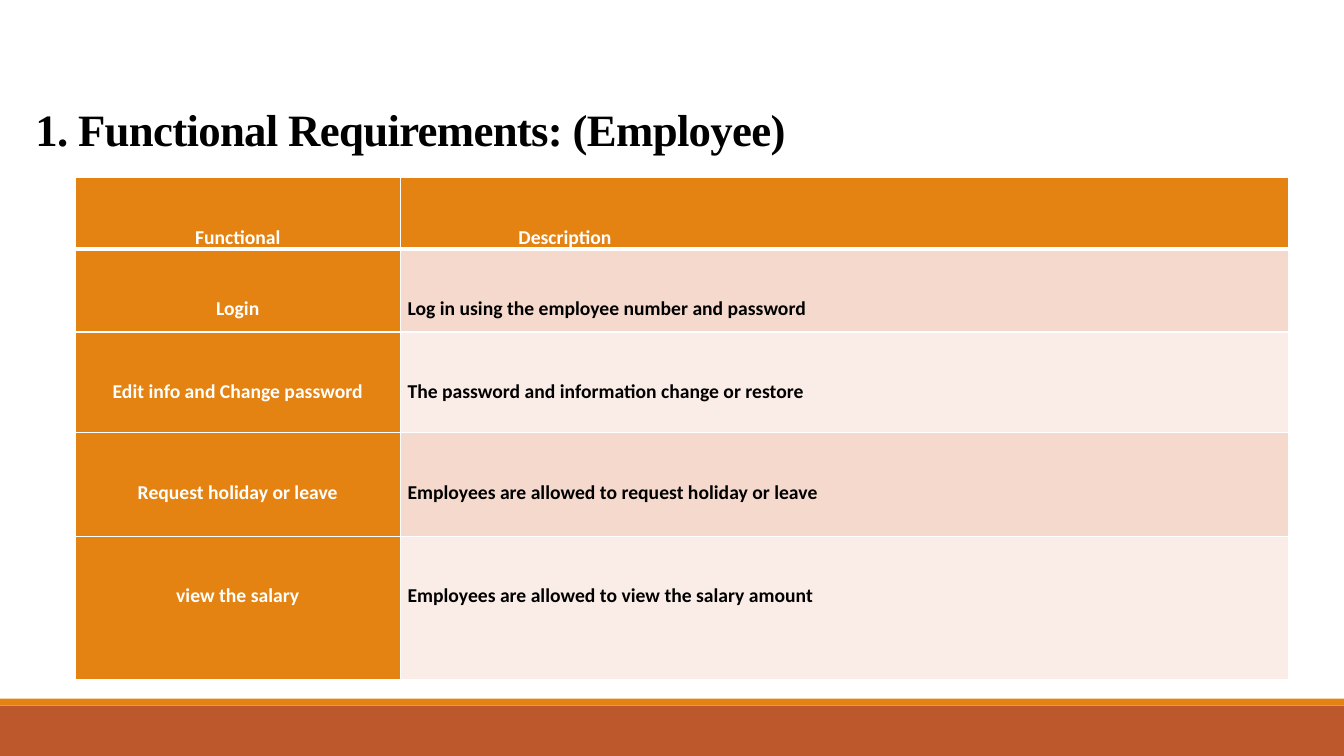
from dataclasses import dataclass

from lxml import etree
from pptx import Presentation
from pptx.dml.color import RGBColor
from pptx.enum.shapes import MSO_SHAPE
from pptx.enum.text import MSO_ANCHOR, MSO_AUTO_SIZE, PP_ALIGN
from pptx.oxml.ns import qn
from pptx.slide import Slide
from pptx.table import _Cell
from pptx.util import Pt

RECTANGLE = MSO_SHAPE.RECTANGLE
BOTTOM, TOP = MSO_ANCHOR.BOTTOM, MSO_ANCHOR.TOP
LEFT, CENTER = PP_ALIGN.LEFT, PP_ALIGN.CENTER
NO_AUTOFIT = MSO_AUTO_SIZE.NONE

WHITE = RGBColor(0xFF, 0xFF, 0xFF)
BLACK = RGBColor(0x00, 0x00, 0x00)
ORANGE = RGBColor(0xE4, 0x83, 0x12)
RUST = RGBColor(0xBD, 0x58, 0x2C)
BAND_FILLS = (RGBColor(0xF5, 0xD9, 0xCC), RGBColor(0xFA, 0xED, 0xE7))

PAGE_WIDTH, PAGE_HEIGHT = 960, 540
COLUMN_WIDTHS = (232.5, 634.3)
SIDE_MARGIN = 5.04
TEXT_TOP = 25.6
HEADER_INDENT = 84.2


@dataclass
class Bar:
    top: float
    height: float
    color: RGBColor


@dataclass
class Requirement:
    name: str
    description: str
    height: float


@dataclass
class CellStyle:
    fill: RGBColor
    color: RGBColor
    alignment: PP_ALIGN = LEFT
    indent: float = SIDE_MARGIN
    bottom_line: float = 1


BARS = (Bar(504, 36, RUST), Bar(499, 5, ORANGE))
REQUIREMENTS = (
    Requirement("Functional", "Description", 51.2),
    Requirement("Login", "Log in using the employee number and password", 59),
    Requirement("Edit info and Change password",
                "The password and information change or restore", 72),
    Requirement("Request holiday or leave",
                "Employees are allowed to request holiday or leave", 74.2),
    Requirement("view the salary",
                "Employees are allowed to view the salary amount", 102.4),
)


def set_all(target: object, values: dict) -> None:
    for name, value in values.items():
        setattr(target, name, value)


def draw_bar(page: Slide, bar: Bar) -> None:
    shape = page.shapes.add_shape(
        RECTANGLE, Pt(0), Pt(bar.top), Pt(PAGE_WIDTH), Pt(bar.height))
    shape.shadow.inherit = False
    shape.fill.solid()
    shape.fill.fore_color.rgb = bar.color
    shape.line.fill.background()


def draw_title(page: Slide, text: str) -> None:
    title = page.shapes.title
    set_all(title, {"left": Pt(18), "top": Pt(0),
                    "width": Pt(792), "height": Pt(114.5)})
    set_all(title.text_frame, {"vertical_anchor": BOTTOM, "word_wrap": True,
                               "auto_size": NO_AUTOFIT})
    para = title.text_frame.paragraphs[0]
    set_all(para, {"alignment": LEFT, "line_spacing": 0.85})
    span = para.add_run()
    span.text = text
    set_all(span.font, {"name": "Times New Roman", "size": Pt(32), "bold": True})
    span.font.color.rgb = BLACK
    span.font._element.set("spc", "-50")


def draw_borders(cell: _Cell, bottom_line: float) -> None:
    properties = cell._tc.get_or_add_tcPr()
    for side, width in (("L", 1), ("R", 1), ("T", 1), ("B", bottom_line)):
        line = etree.SubElement(properties, qn(f"a:ln{side}"), w=str(Pt(width)))
        fill = etree.SubElement(line, qn("a:solidFill"))
        etree.SubElement(fill, qn("a:srgbClr"), val=str(WHITE))


def fill_cell(cell: _Cell, text: str, style: CellStyle) -> None:
    draw_borders(cell, style.bottom_line)
    cell.fill.solid()
    cell.fill.fore_color.rgb = style.fill
    set_all(cell, {"margin_left": Pt(style.indent), "margin_right": Pt(SIDE_MARGIN),
                   "margin_top": Pt(TEXT_TOP), "margin_bottom": Pt(0),
                   "vertical_anchor": TOP})
    para = cell.text_frame.paragraphs[0]
    set_all(para, {"alignment": style.alignment, "line_spacing": 1.5})
    span = para.add_run()
    span.text = text
    set_all(span.font, {"name": "Calibri", "size": Pt(14), "bold": True})
    span.font.color.rgb = style.color


def draw_table(page: Slide) -> None:
    total_height = sum(item.height for item in REQUIREMENTS)
    table = page.shapes.add_table(
        len(REQUIREMENTS), len(COLUMN_WIDTHS), Pt(53.6), Pt(126.9),
        Pt(sum(COLUMN_WIDTHS)), Pt(total_height)).table
    table.first_col = True
    for column, width in zip(table.columns, COLUMN_WIDTHS):
        column.width = Pt(width)
    for index, item in enumerate(REQUIREMENTS):
        table.rows[index].height = Pt(item.height)
        name_style = CellStyle(ORANGE, WHITE, CENTER)
        if index == 0:
            name_style.bottom_line = 3
            text_style = CellStyle(ORANGE, WHITE, indent=HEADER_INDENT, bottom_line=3)
        else:
            text_style = CellStyle(BAND_FILLS[(index - 1) % 2], BLACK)
        fill_cell(table.cell(index, 0), item.name, name_style)
        fill_cell(table.cell(index, 1), item.description, text_style)


def main() -> None:
    deck = Presentation()
    set_all(deck, {"slide_width": Pt(PAGE_WIDTH), "slide_height": Pt(PAGE_HEIGHT)})
    page = deck.slides.add_slide(deck.slide_layouts.get_by_name("Title Only"))

    # Footer bars
    for bar in BARS:
        draw_bar(page, bar)

    # Heading and requirements
    draw_title(page, "1. Functional Requirements: (Employee)")
    draw_table(page)

    deck.save("out.pptx")


if __name__ == "__main__":
    main()
